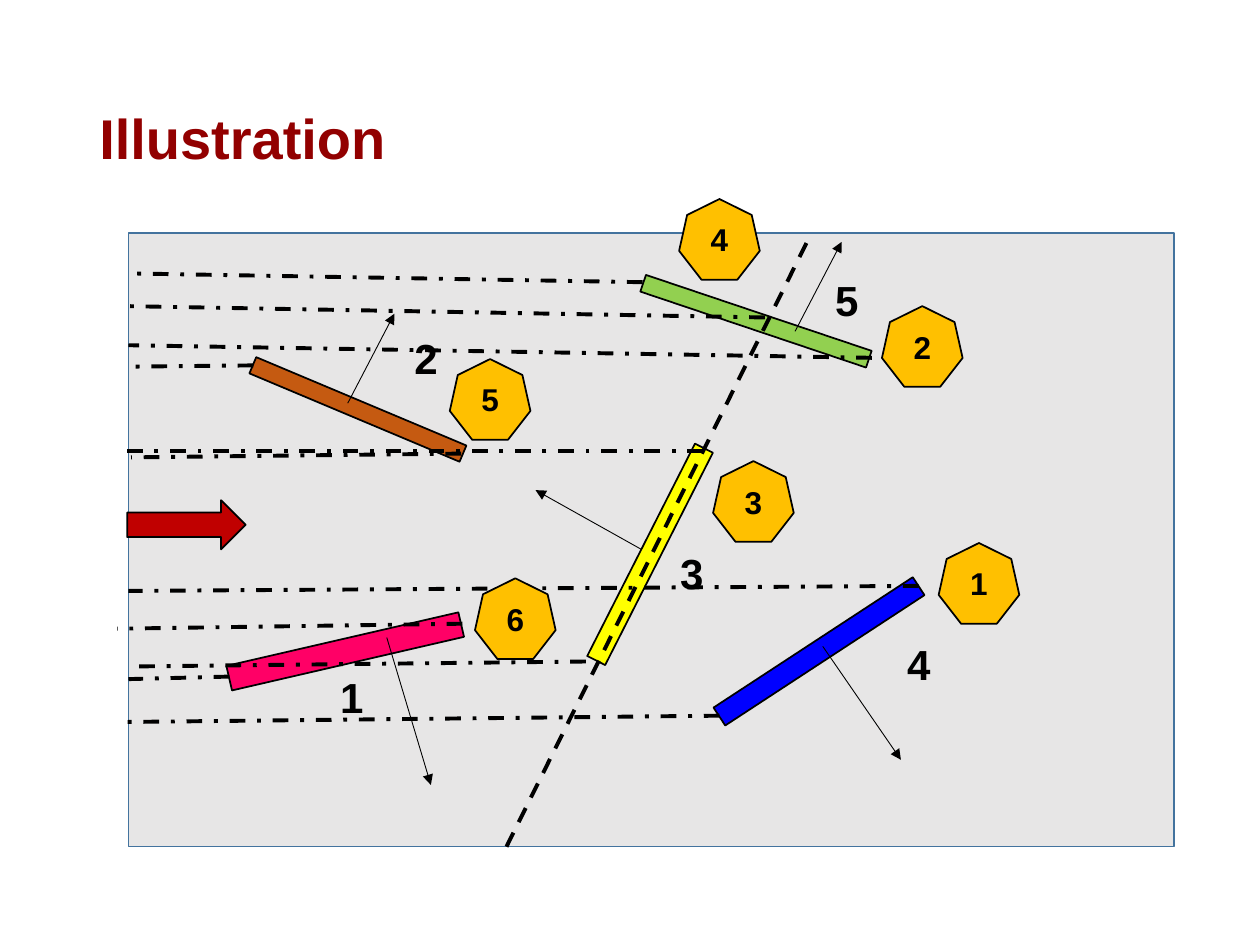
from dataclasses import dataclass

from lxml.etree import SubElement
from pptx import Presentation
from pptx.dml.color import RGBColor
from pptx.enum.dml import MSO_LINE
from pptx.enum.shapes import MSO_CONNECTOR, MSO_SHAPE
from pptx.enum.text import MSO_ANCHOR, MSO_AUTO_SIZE, PP_ALIGN
from pptx.oxml.ns import qn
from pptx.util import Inches, Pt


@dataclass(frozen=True)
class Theme:
    font: str = "Arial"
    title: str = "920000"
    ink: str = "000000"
    field: str = "E7E6E6"
    field_edge: str = "43739E"
    flow: str = "C00000"
    badge: str = "FFC000"
    title_size: float = 32
    label_size: float = 24
    badge_size: float = 18
    edge: float = 1
    ray: float = 2.25
    normal: float = 0.5


@dataclass(frozen=True)
class Box:
    left: float
    top: float
    width: float
    height: float

    def inside(self, left, top, width, height):
        return Box(self.left + left, self.top + top, width, height)

    def around(self, x, y, width, height):
        return self.inside(x - width / 2, y - height / 2, width, height)

    def point(self, x, y):
        return Inches(self.left + x), Inches(self.top + y)

    def lengths(self):
        return [Inches(n) for n in (self.left, self.top, self.width, self.height)]


THEME = Theme()

PLATES = {
    "yellow": ((4.14, 2.55), (0.16, 1.89), 26.9, "FFFF00"),
    "green": ((4.98, 0.7), (0.14, 1.89), 108.6, "92D050"),
    "blue": ((5.48, 3.32), (0.17, 1.89), 56.8, "0000FF"),
    "pink": ((1.72, 3.32), (0.2, 1.89), 77, "FF0066"),
    "brown": ((1.82, 1.4), (0.14, 1.81), 112.8, "C55A11"),
}
PLATE_LABELS = {
    "3": (4.28, 2.45),
    "4": (6.08, 3.17),
    "5": (5.51, 0.28),
    "1": (1.58, 3.43),
    "2": (2.17, 0.74),
}
NORMALS = {
    "yellow": ((4.07, 2.51), (3.23, 2.04)),
    "green": ((5.29, 0.78), (5.66, 0.07)),
    "brown": ((1.74, 1.35), (2.11, 0.64)),
    "pink": ((2.05, 3.21), (2.4, 4.38)),
    "blue": ((5.51, 3.28), (6.13, 4.18)),
}
PROJECTIONS = [
    ((4.08, 0.39), (0, 0.32)),
    ((5.05, 0.67), (0, 0.58)),
    ((5.9, 0.99), (0, 0.89)),
    ((0.99, 1.05), (0, 1.06)),
    ((2.64, 1.75), (0.02, 1.78)),
    ((4.56, 1.73), (-0.01, 1.73)),
    ((3.63, 3.4), (0, 3.44)),
    ((2.65, 3.1), (-0.09, 3.14)),
    ((0.8, 3.52), (0, 3.54)),
    ((6.27, 2.8), (0, 2.84)),
    ((4.69, 3.83), (-0.01, 3.88)),
]
BADGES = [(6.43, 2.46), (5.98, 0.58), (4.64, 1.81),
          (4.37, -0.27), (2.55, 1), (2.75, 2.74)]


def write_text(frame, text, *, size, color=THEME.ink, align=PP_ALIGN.LEFT,
               anchor=MSO_ANCHOR.TOP, wrap=True, spacing=1.0):
    frame.word_wrap = wrap
    frame.vertical_anchor = anchor
    para = frame.paragraphs[0]
    para.alignment = align
    para.line_spacing = spacing
    span = para.add_run()
    span.text = text
    span.font.name = THEME.font
    span.font.size = Pt(size)
    span.font.bold = True
    span.font.color.rgb = RGBColor.from_string(color)


def add_solid(page, kind, box, fill, edge=THEME.ink, rotation=0):
    shape = page.shapes.add_shape(kind, *box.lengths())
    shape.shadow.inherit = False
    shape.rotation = rotation
    shape.fill.solid()
    shape.fill.fore_color.rgb = RGBColor.from_string(fill)
    shape.line.color.rgb = RGBColor.from_string(edge)
    shape.line.width = Pt(THEME.edge)
    return shape


def add_line(page, box, start, end, *, width, dash=None, arrow=False):
    line = page.shapes.add_connector(
        MSO_CONNECTOR.STRAIGHT, *box.point(*start), *box.point(*end))
    line.line.color.rgb = RGBColor.from_string(THEME.ink)
    line.line.width = Pt(width)
    if dash:
        line.line.dash_style = dash
    properties = line._element.spPr
    if arrow:
        SubElement(properties.find(qn("a:ln")), qn("a:tailEnd"), type="triangle")
    SubElement(properties, qn("a:effectLst"))
    return line


def add_title(page, box):
    title = page.shapes.add_textbox(*box.lengths())
    write_text(title.text_frame, "Illustration", size=THEME.title_size,
               color=THEME.title, anchor=MSO_ANCHOR.MIDDLE, spacing=0.9)


def add_plates(page, box):
    plates = {}
    for name, (center, size, angle, color) in PLATES.items():
        plates[name] = add_solid(page, MSO_SHAPE.RECTANGLE,
                                 box.around(*center, *size), color, rotation=angle)
    for text, corner in PLATE_LABELS.items():
        label = page.shapes.add_textbox(*box.inside(*corner, 0.39, 0.5).lengths())
        write_text(label.text_frame, text, size=THEME.label_size, wrap=False)
        label.text_frame.auto_size = MSO_AUTO_SIZE.SHAPE_TO_FIT_TEXT
    return plates


def add_rays(page, box, plates):
    add_line(page, box, (3, box.height), (5.42, 0),
             width=THEME.ray, dash=MSO_LINE.DASH)
    for name, (start, end) in NORMALS.items():
        normal = add_line(page, box, start, end, width=THEME.normal, arrow=True)
        if name == "yellow":
            normal.begin_connect(plates[name], 1)
            normal.begin_x, normal.begin_y = box.point(*start)
    for start, end in PROJECTIONS:
        add_line(page, box, start, end, width=THEME.ray, dash=MSO_LINE.DASH_DOT)


def add_badges(page, box):
    for number, corner in enumerate(BADGES, 1):
        badge = add_solid(page, MSO_SHAPE.HEPTAGON,
                          box.inside(*corner, 0.64, 0.64), THEME.badge)
        frame = badge.text_frame
        frame.margin_left = frame.margin_right = 0
        frame.margin_top = frame.margin_bottom = 0
        write_text(frame, str(number), size=THEME.badge_size,
                   align=PP_ALIGN.CENTER, anchor=MSO_ANCHOR.MIDDLE)


def add_field(page, box):
    add_solid(page, MSO_SHAPE.RECTANGLE, box, THEME.field, THEME.field_edge)
    plates = add_plates(page, box)
    add_rays(page, box, plates)
    add_solid(page, MSO_SHAPE.RIGHT_ARROW,
              box.inside(-0.01, 2.12, 0.94, 0.39), THEME.flow)
    add_badges(page, box)


def main():
    deck = Presentation()
    deck.slide_width, deck.slide_height = Inches(10), Inches(7.5)
    page = deck.slides.add_slide(deck.slide_layouts[6])
    add_title(page, Box(0.69, 0.4, 8.62, 1.45))
    add_field(page, Box(1.02, 1.85, 8.3, 4.87))
    deck.save("out.pptx")


if __name__ == "__main__":
    main()
